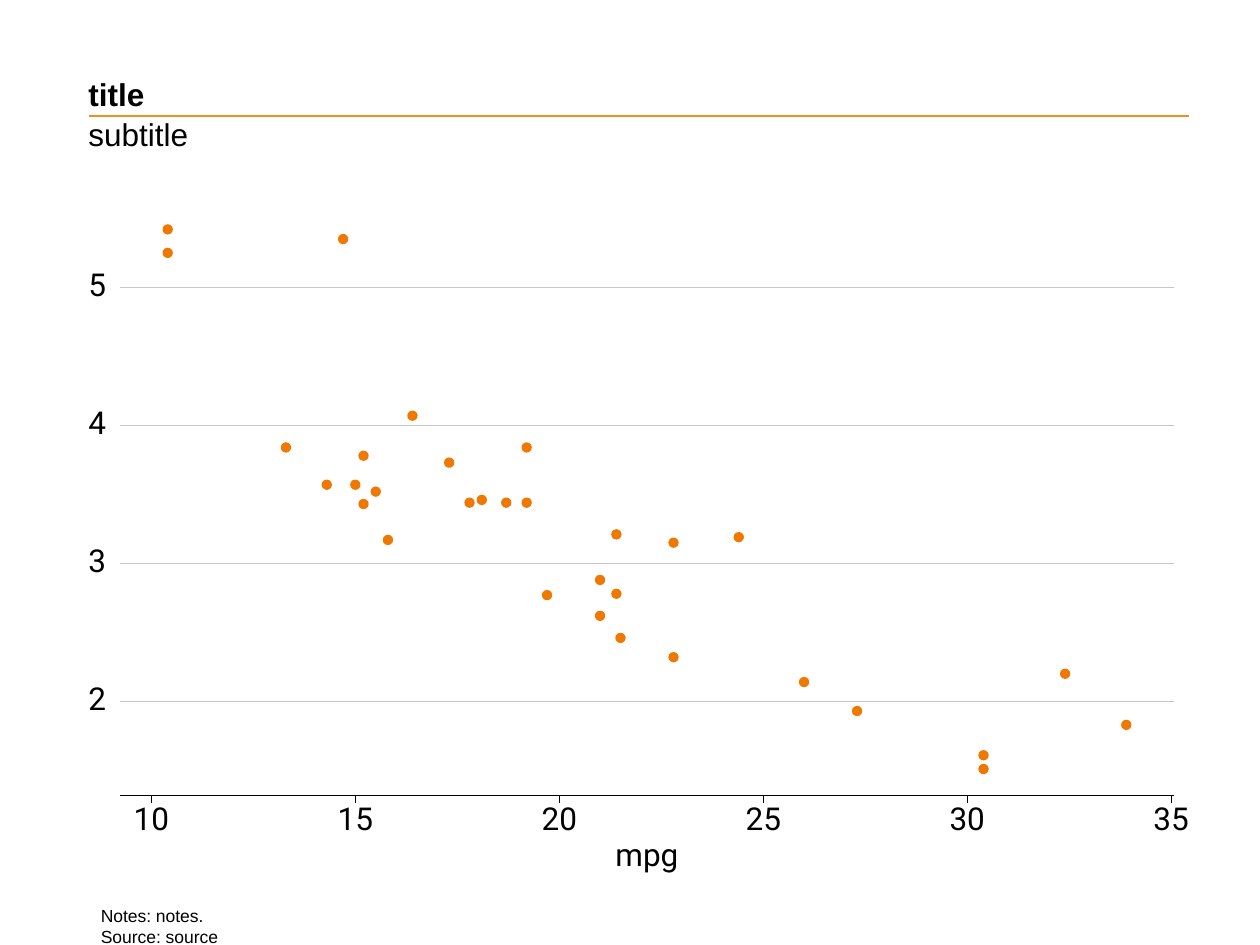
from dataclasses import dataclass

from lxml import etree
from pptx import Presentation
from pptx.dml.color import RGBColor
from pptx.enum.shapes import MSO_CONNECTOR, MSO_SHAPE
from pptx.enum.text import MSO_ANCHOR
from pptx.oxml.ns import qn
from pptx.util import Pt

STRAIGHT = MSO_CONNECTOR.STRAIGHT
OVAL, RECTANGLE = MSO_SHAPE.OVAL, MSO_SHAPE.RECTANGLE
TOP, MIDDLE, BOTTOM = MSO_ANCHOR.TOP, MSO_ANCHOR.MIDDLE, MSO_ANCHOR.BOTTOM

BLACK = RGBColor(0x00, 0x00, 0x00)
WHITE = RGBColor(0xFF, 0xFF, 0xFF)
RULE_ORANGE = RGBColor(0xF3, 0x90, 0x1D)
POINT_ORANGE = RGBColor(0xEF, 0x79, 0x00)
GRID_GREY = RGBColor(0xC3, 0xC7, 0xCB)

PLOT_LEFT, PLOT_TOP, PLOT_WIDTH, PLOT_HEIGHT = 68.5, 115.5, 602.5, 339
PLOT_RIGHT, PLOT_BOTTOM = PLOT_LEFT + PLOT_WIDTH, PLOT_TOP + PLOT_HEIGHT
MARGIN_LEFT, BODY_WIDTH = 50.5, 629
POINT_SIZE, TICK_LENGTH = 5.2, 4.4
DIGIT_WIDTH, LABEL_HEIGHT = 10.1, 13.1
MPG_TICKS = range(10, 36, 5)
WEIGHT_TICKS = range(2, 6)
CARS = (
    (21, 2.62), (21, 2.88), (22.8, 2.32), (21.4, 3.21), (18.7, 3.44),
    (18.1, 3.46), (14.3, 3.57), (24.4, 3.19), (22.8, 3.15), (19.2, 3.44),
    (17.8, 3.44), (16.4, 4.07), (17.3, 3.73), (15.2, 3.78), (10.4, 5.25),
    (10.4, 5.42), (14.7, 5.35), (32.4, 2.2), (30.4, 1.61), (33.9, 1.83),
    (21.5, 2.46), (15.5, 3.52), (15.2, 3.43), (13.3, 3.84), (19.2, 3.84),
    (27.3, 1.93), (26, 2.14), (30.4, 1.51), (15.8, 3.17), (19.7, 2.77),
    (15, 3.57), (21.4, 2.78),
)


@dataclass(frozen=True)
class Label:
    text: str
    left: float
    top: float
    width: float
    height: float
    font_name: str = "Arial"
    size: float = 18
    bold: bool = False
    anchor: MSO_ANCHOR = TOP
    line_spacing: float | Pt = 1.0
    wrap: bool = True
    inset: tuple[float, float] = (0, 0)


def mpg_x(mpg: float) -> float:
    return 86.5 + (mpg - 10) * 23.31


def weight_y(weight: float) -> float:
    return 400.8 - (weight - 2) * 78.86


def add_label(shapes, label: Label) -> None:
    box = shapes.add_textbox(Pt(label.left), Pt(label.top), Pt(label.width), Pt(label.height))
    frame = box.text_frame
    frame.word_wrap = label.wrap
    frame.vertical_anchor = label.anchor
    frame.margin_left = frame.margin_right = Pt(label.inset[0])
    frame.margin_top = frame.margin_bottom = Pt(label.inset[1])
    paragraph = frame.paragraphs[0]
    paragraph.text = label.text
    paragraph.line_spacing = label.line_spacing
    font = paragraph.font
    font.name, font.size, font.bold = label.font_name, Pt(label.size), label.bold
    font.color.rgb = BLACK


def add_axis_label(shapes, text: str, left: float, top: float, width: float) -> None:
    add_label(shapes, Label(text, left, top, width, LABEL_HEIGHT, "Roboto",
                            anchor=MIDDLE, line_spacing=Pt(18), wrap=False))


def add_line(shapes, start: tuple[float, float], end: tuple[float, float],
             color: RGBColor, width: float) -> None:
    line = shapes.add_connector(STRAIGHT, *map(Pt, start + end))
    line.line.color.rgb = color
    line.line.width = Pt(width)
    etree.SubElement(line._element.spPr, qn("a:effectLst"))


def add_filled_shape(shapes, kind: MSO_SHAPE, left: float, top: float, width: float,
                     height: float, color: RGBColor, line_width: float = 0) -> None:
    shape = shapes.add_shape(kind, Pt(left), Pt(top), Pt(width), Pt(height))
    shape.shadow.inherit = False
    shape.fill.solid()
    shape.fill.fore_color.rgb = color
    if line_width:
        shape.line.color.rgb = color
        shape.line.width = Pt(line_width)
    else:
        shape.line.fill.background()


def draw_scatter(shapes) -> None:
    add_filled_shape(shapes, RECTANGLE, PLOT_LEFT, PLOT_TOP, PLOT_WIDTH, PLOT_HEIGHT, WHITE)
    for weight in WEIGHT_TICKS:
        y = weight_y(weight)
        add_line(shapes, (PLOT_LEFT, y), (PLOT_RIGHT, y), GRID_GREY, 0.37)
        add_axis_label(shapes, str(weight), MARGIN_LEFT, y - 6.7, DIGIT_WIDTH)
    for mpg, weight in CARS:
        add_filled_shape(shapes, OVAL, mpg_x(mpg) - POINT_SIZE / 2,
                         weight_y(weight) - POINT_SIZE / 2,
                         POINT_SIZE, POINT_SIZE, POINT_ORANGE, 0.71)
    add_line(shapes, (PLOT_LEFT, PLOT_BOTTOM), (PLOT_RIGHT, PLOT_BOTTOM), BLACK, 0.75)
    for mpg in MPG_TICKS:
        x = mpg_x(mpg)
        add_line(shapes, (x, PLOT_BOTTOM), (x, PLOT_BOTTOM + TICK_LENGTH), BLACK, 0.56)
        add_axis_label(shapes, str(mpg), x - DIGIT_WIDTH, 462.5, 2 * DIGIT_WIDTH)
    add_axis_label(shapes, "mpg", 351.7, 483.3, 38)


def main() -> None:
    """Build the car weight and mileage scatter slide."""
    presentation = Presentation()
    presentation.slide_width, presentation.slide_height = Pt(720), Pt(540)
    slide = presentation.slides.add_slide(presentation.slide_layouts[6])
    add_line(slide.shapes, (51, 66.4), (679.2, 66.4), RULE_ORANGE, 1.5)
    add_label(slide.shapes, Label("subtitle", MARGIN_LEFT, 68.1, BODY_WIDTH, 50.4,
                                  line_spacing=0.9))
    draw_scatter(slide.shapes.add_group_shape().shapes)
    add_label(slide.shapes, Label("title", MARGIN_LEFT, 15.4, 510.5, 49,
                                  bold=True, anchor=BOTTOM))
    add_label(slide.shapes, Label("Notes: notes.\nSource: source", MARGIN_LEFT, 513.6, BODY_WIDTH,
                                  20.9, size=10, inset=(7.2, 3.6)))
    presentation.save("out.pptx")


if __name__ == "__main__":
    main()
